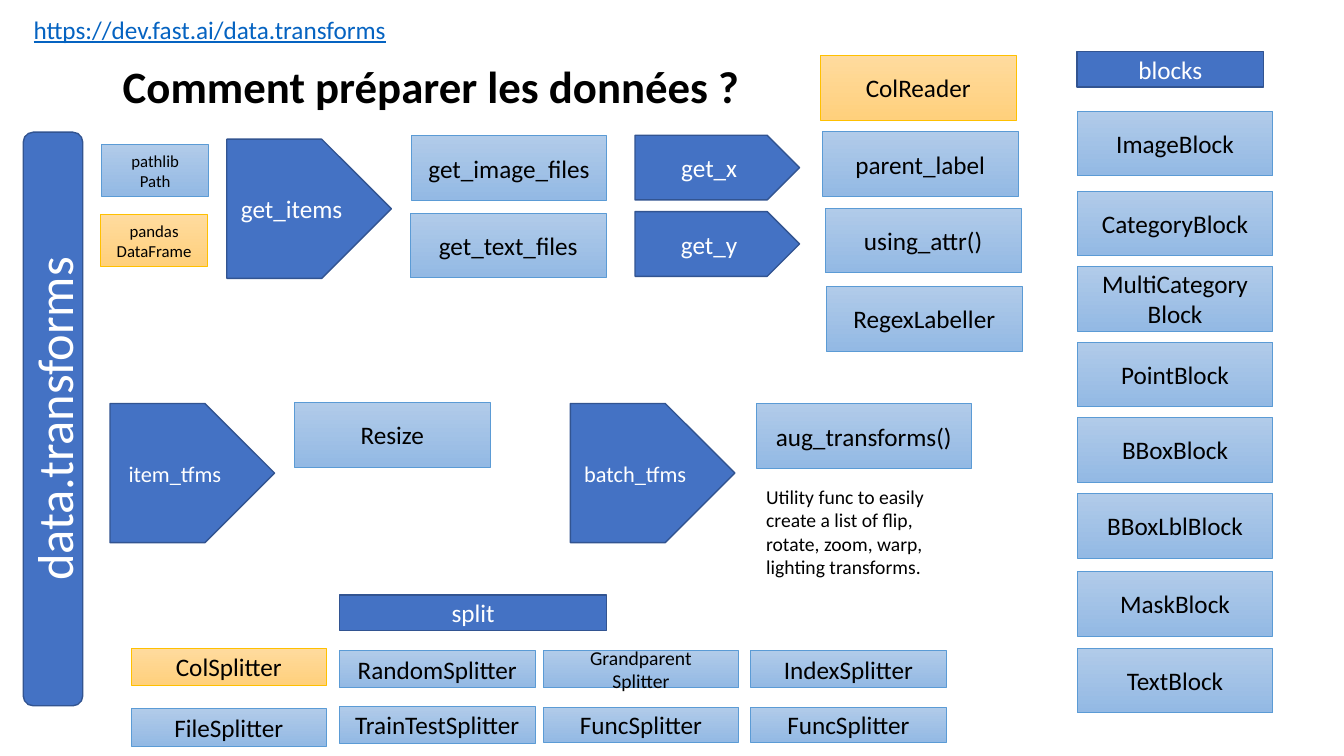
import pptx
import pptx.util
import pptx.dml.color
import pptx.enum.shapes
import pptx.enum.text

Pt = pptx.util.Pt
SHAPES = pptx.enum.shapes.MSO_SHAPE
ALIGN = pptx.enum.text.PP_ALIGN
FONT = "Calibri"

STYLES = {
    "solid": (["4472C4"], "325491", 1, "FFFFFF"),
    "blue": (["B1CBE9", "93B9E4"], "5B9BD5", 0.5, "000000"),
    "gold": (["FFDB9E", "FFD07C"], "FFC000", 0.5, "000000"),
}

CARD = (139.7, 46.2)
SMALL_CARD = (76.5, 36.6)
SPLITTER = (139.7, 26.6)
LOW_SPLITTER = (139.7, 25.2)
BIG_ARROW = (117.5, 99.4)
SMALL_ARROW = (117.5, 46.2)

ARROWS = [
    ("get_items", 162, 99.4, BIG_ARROW, 18),
    ("get_x", 453.6, 96.6, SMALL_ARROW, 18),
    ("get_y", 453.6, 151.2, SMALL_ARROW, 18),
    ("item_tfms", 78.6, 288.2, BIG_ARROW, 16),
    ("batch_tfms", 407.4, 288.2, BIG_ARROW, 16),
]
HEADERS = [
    ("blocks", 769.3, 36.8, (133.4, 25.4)),
    ("split", 242.5, 425.1, (190.8, 25.2)),
]
CARDS = [
    ("pathlib\nPath", 72.6, 103.4, SMALL_CARD, 12, "blue"),
    ("pandas\nDataFrame", 71.8, 153.4, SMALL_CARD, 12, "gold"),
    ("get_image_files", 293.8, 97, CARD, 18, "blue"),
    ("get_text_files", 293.2, 152.2, CARD, 18, "blue"),
    ("ColReader", 586.1, 39.6, CARD, 18, "gold"),
    ("parent_label", 587.5, 94.2, CARD, 18, "blue"),
    ("using_attr()", 589.6, 148.6, CARD, 18, "blue"),
    ("RegexLabeller", 590.4, 204.5, CARD, 18, "blue"),
    ("Resize", 210.4, 287.4, CARD, 18, "blue"),
    ("aug_transforms()", 540.2, 288.3, (153.6, 46.2), 18, "blue"),
    ("ColSplitter", 93.6, 463, SPLITTER, 18, "gold"),
    ("RandomSplitter", 242.5, 464.7, SPLITTER, 18, "blue"),
    ("Grandparent\vSplitter", 388, 464.7, SPLITTER, 14, "blue"),
    ("IndexSplitter", 536.2, 464.7, SPLITTER, 18, "blue"),
    ("FileSplitter", 93.6, 506.3, SPLITTER, 18, "blue"),
    ("TrainTestSplitter", 242.5, 504.3, SPLITTER, 18, "blue"),
    ("FuncSplitter", 388, 505, LOW_SPLITTER, 18, "blue"),
    ("FuncSplitter", 536.2, 505, LOW_SPLITTER, 18, "blue"),
]
BLOCKS_LEFT = 769.5
BLOCKS = [
    ("ImageBlock", 79.4),
    ("CategoryBlock", 136.5),
    ("MultiCategory\vBlock", 190.2),
    ("PointBlock", 244.4),
    ("BBoxBlock", 298.2),
    ("BBoxLblBlock", 352.5),
    ("MaskBlock", 408.2),
    ("TextBlock", 463),
]
LABELS = [
    ("Comment préparer les données ?", 80.6, 38.2, (459.4, 46.1), 32, "000000", False),
    ("https://dev.fast.ai/data.transforms", 16.9, 6.5, (269.3, 28.8), 18, "0563C1", False),
    ("Utility func to easily create a list of flip, rotate, zoom, warp, lighting transforms.",
     540.2, 342.7, (154.1, 74.9), 14, "000000", True),
]


def rgb(value):
    return pptx.dml.color.RGBColor.from_string(value)


def write(shape, text, size, colour, align):
    shape.text_frame.text = text
    for paragraph in shape.text_frame.paragraphs:
        paragraph.alignment = align
        paragraph.font.name = FONT
        paragraph.font.size = Pt(size)
        paragraph.font.color.rgb = rgb(colour)


def add_box(slide, kind, text, left, top, box, size, style):
    fills, line, line_width, colour = STYLES[style]
    shape = slide.shapes.add_shape(kind, Pt(left), Pt(top), Pt(box[0]), Pt(box[1]))
    shape.shadow.inherit = False
    if len(fills) == 1:
        shape.fill.solid()
        shape.fill.fore_color.rgb = rgb(fills[0])
    else:
        shape.fill.gradient()
        shape.fill.gradient_angle = 270
        for stop, fill in zip(shape.fill.gradient_stops, fills):
            stop.color.rgb = rgb(fill)
    shape.line.color.rgb = rgb(line)
    shape.line.width = Pt(line_width)
    shape.text_frame.vertical_anchor = pptx.enum.text.MSO_ANCHOR.MIDDLE
    write(shape, text, size, colour, ALIGN.CENTER)
    return shape


def add_label(slide, text, left, top, box, size, colour, wrap):
    label = slide.shapes.add_textbox(Pt(left), Pt(top), Pt(box[0]), Pt(box[1]))
    label.text_frame.word_wrap = wrap
    write(label, text, size, colour, ALIGN.LEFT)
    return label.text_frame.paragraphs[0].font


def main():
    presentation = pptx.Presentation()
    presentation.slide_width = Pt(960)
    presentation.slide_height = Pt(540)
    slide = presentation.slides.add_slide(presentation.slide_layouts[6])

    title_font, link_font, note_font = [add_label(slide, *label) for label in LABELS]
    title_font.bold = True
    link_font.underline = True

    banner = add_box(slide, SHAPES.ROUNDED_RECTANGLE, "data.transforms",
                     -167, 278, (409.7, 42.5), 36, "solid")
    banner.rotation = 270
    for text, left, top, box, size in ARROWS:
        add_box(slide, SHAPES.PENTAGON, text, left, top, box, size, "solid")
    for text, left, top, box in HEADERS:
        add_box(slide, SHAPES.RECTANGLE, text, left, top, box, 18, "solid")
    for card in CARDS:
        add_box(slide, SHAPES.RECTANGLE, *card)
    for text, top in BLOCKS:
        add_box(slide, SHAPES.RECTANGLE, text, BLOCKS_LEFT, top, CARD, 18, "blue")

    presentation.save("out.pptx")


if __name__ == "__main__":
    main()
